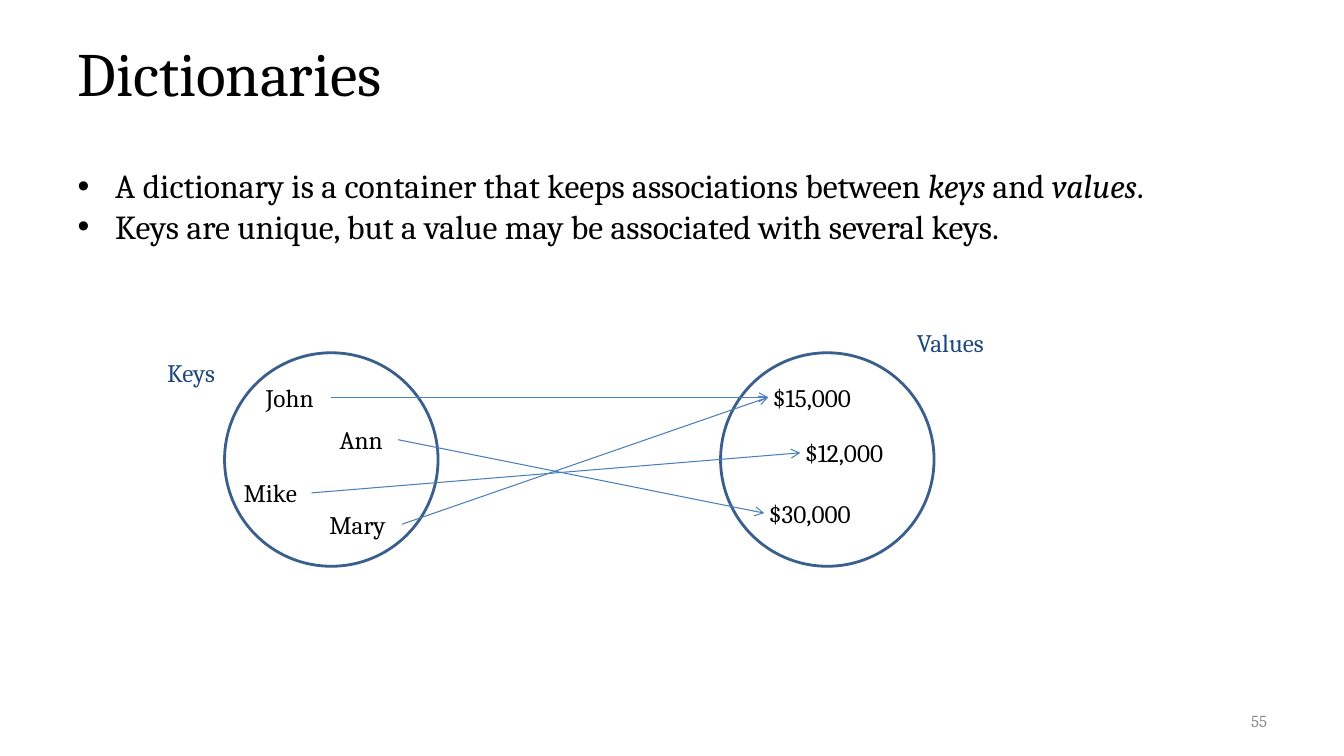
from lxml.etree import SubElement
from pptx import Presentation
from pptx.dml.color import RGBColor
from pptx.enum.shapes import MSO_CONNECTOR as Connector, MSO_SHAPE as Shape
from pptx.enum.text import MSO_ANCHOR as Anchor, MSO_AUTO_SIZE as AutoSize, PP_ALIGN as Align
from pptx.oxml.ns import qn
from pptx.util import Cm, Pt

FONT = "Cambria"
BLACK, GREY = "000000", "8B8B8B"
CIRCLE_BLUE, ARROW_BLUE, CAPTION_BLUE = "3A5F8C", "4A7EBB", "1F497D"

LABEL_HEIGHT = 1.02
VALUE_WIDTH = 3.12
ARROW_GAP = 0.13  # how far an arrow tip reaches into the value label

# Lengths in centimetres: left, top, width
KEYS = {
    "John": (6.45, 9.5, 1.88),
    "Ann": (8.31, 10.57, 1.72),
    "Mike": (5.89, 11.91, 1.96),
    "Mary": (8.05, 12.7, 2.08),
}
# left, top
VALUES = {
    "$15,000": (19.23, 9.5),
    "$12,000": (20.04, 10.9),
    "$30,000": (19.13, 12.42),
}
SALARIES = {"John": "$15,000", "Ann": "$30,000", "Mike": "$12,000", "Mary": "$15,000"}
CAPTIONS = {"Keys": (3.96, 8.89, 1.98), "Values": (22.86, 8.13, 2.57)}
CIRCLE_LEFTS = (5.66, 18.16)

# Runs as (text, italic)
STATEMENTS = [
    [
        ("A dictionary is a container that keeps associations between ", False),
        ("keys ", True),
        ("and ", False),
        ("values", True),
        (".", False),
    ],
    [("Keys are unique, but a value may be associated with several keys.", False)],
]


def rgb(hex_colour):
    return RGBColor.from_string(hex_colour)


def style(paragraph, size, colour, align=Align.LEFT):
    paragraph.font.name = FONT
    paragraph.font.size = Pt(size)
    paragraph.font.color.rgb = rgb(colour)
    paragraph.alignment = align


def place(holder, left, top, width, height):
    holder.left, holder.top = Cm(left), Cm(top)
    holder.width, holder.height = Cm(width), Cm(height)
    holder.text_frame.auto_size = AutoSize.NONE
    holder.text_frame.vertical_anchor = Anchor.TOP


def fill_title(title, text):
    place(title, 1.7, 0.76, 30.48, 3.18)
    title.text_frame.text = text
    style(title.text_frame.paragraphs[0], 44, BLACK)


def fill_body(body, statements):
    place(body, 1.7, 4.04, 29.74, 4.85)
    frame = body.text_frame
    for index, runs in enumerate(statements):
        paragraph = frame.add_paragraph() if index else frame.paragraphs[0]
        style(paragraph, 24, BLACK)
        paragraph.space_before = Pt(0)
        properties = paragraph._p.get_or_add_pPr()
        properties.set("marL", str(Cm(0.95)))
        properties.set("indent", str(Cm(-0.95)))
        for text, italic in runs:
            run = paragraph.add_run()
            run.text = text
            run.font.italic = italic


def add_label(slide, text, left, top, width, size=18, colour=BLACK, align=Align.LEFT):
    label = slide.shapes.add_textbox(Cm(left), Cm(top), Cm(width), Cm(LABEL_HEIGHT))
    frame = label.text_frame
    frame.word_wrap = False
    frame.text = text
    style(frame.paragraphs[0], size, colour, align)
    return label


def add_circle(slide, left):
    circle = slide.shapes.add_shape(Shape.OVAL, Cm(left), Cm(8.89), Cm(5.38), Cm(5.38))
    circle.shadow.inherit = False
    circle.fill.background()
    circle.line.color.rgb = rgb(CIRCLE_BLUE)
    circle.line.width = Pt(2)


def add_arrow(slide, key, value):
    key_left, key_top, key_width = KEYS[key]
    value_left, value_top = VALUES[value]
    middle = LABEL_HEIGHT / 2
    arrow = slide.shapes.add_connector(
        Connector.STRAIGHT,
        Cm(key_left + key_width), Cm(key_top + middle),
        Cm(value_left + ARROW_GAP), Cm(value_top + middle),
    )
    arrow.line.color.rgb = rgb(ARROW_BLUE)
    arrow.line.width = Pt(0.75)
    SubElement(arrow.line._get_or_add_ln(), qn("a:tailEnd"), type="arrow")
    SubElement(arrow._element.spPr, qn("a:effectLst"))


def add_slide_number(slide, number):
    label = add_label(slide, number, 24.28, 17.65, 7.9, 12, GREY, Align.RIGHT)
    label.text_frame.word_wrap = True
    label.text_frame.vertical_anchor = Anchor.MIDDLE


def main():
    deck = Presentation()
    deck.slide_width, deck.slide_height = Cm(33.87), Cm(19.05)
    slide = deck.slides.add_slide(deck.slide_layouts[1])

    # Heading and statements
    fill_title(slide.shapes.title, "Dictionaries")
    fill_body(slide.placeholders[1], STATEMENTS)

    # The two sets with their members
    for left in CIRCLE_LEFTS:
        add_circle(slide, left)
    for key, position in KEYS.items():
        add_label(slide, key, *position)
    for value, position in VALUES.items():
        add_label(slide, value, *position, VALUE_WIDTH)

    # Associations from keys to values
    for key, value in SALARIES.items():
        add_arrow(slide, key, value)

    # Captions and slide number
    for caption, position in CAPTIONS.items():
        add_label(slide, caption, *position, colour=CAPTION_BLUE)
    add_slide_number(slide, "55")

    deck.save("out.pptx")


if __name__ == "__main__":
    main()
